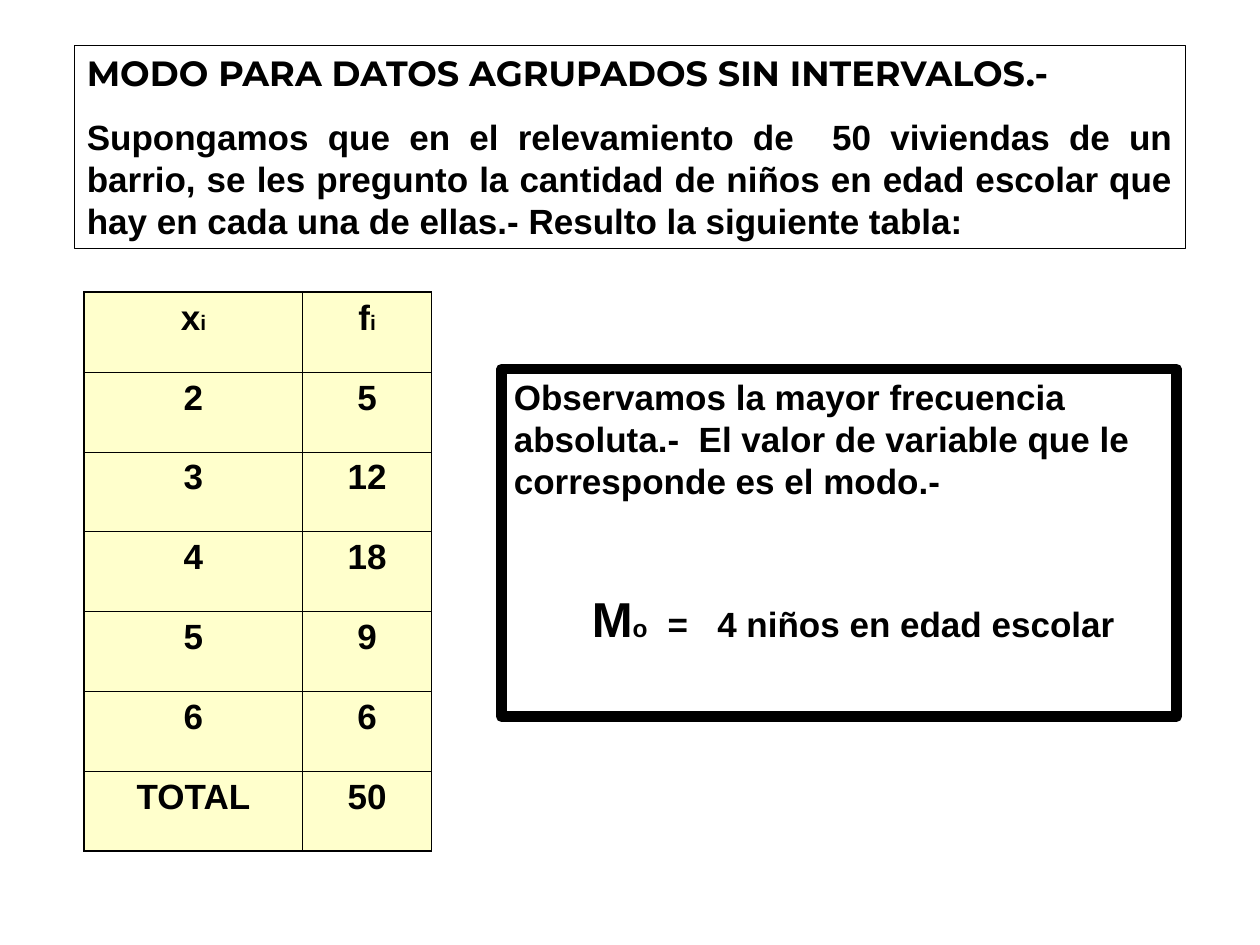
from lxml.etree import SubElement
from pptx import Presentation
from pptx.dml.color import RGBColor
from pptx.enum.shapes import MSO_SHAPE as SHAPE
from pptx.enum.text import MSO_ANCHOR as ANCHOR, PP_ALIGN as ALIGN
from pptx.oxml.ns import qn
from pptx.util import Cm, Pt

COLORS = {"ink": "000000", "cell": "FFFFCC"}
ROWS = [
    [("x", "i"), ("f", "i")],
    ["2", "5"],
    ["3", "12"],
    ["4", "18"],
    ["5", "9"],
    ["6", "6"],
    ["TOTAL", "50"],
]


def rgb(name):
    return RGBColor.from_string(COLORS[name])


def add_run(p, text, size=20, font="Arial"):
    r = p.add_run()
    r.text = text
    r.font.size, r.font.name, r.font.bold = Pt(size), font, True
    r.font.color.rgb = rgb("ink")


def add_tabs(p, stops):
    tabs = SubElement(p._p.get_or_add_pPr(), qn("a:tabLst"))
    for stop in stops:
        SubElement(tabs, qn("a:tab"), pos=str(Cm(stop)), algn="l")


def add_box(s, left, top, width, height, line):
    sp = s.shapes.add_shape(SHAPE.RECTANGLE, Cm(left), Cm(top), Cm(width), Cm(height))
    sp.shadow.inherit = False
    sp.fill.background()
    sp.line.color.rgb = rgb("ink")
    sp.line.width = Pt(line)
    tf = sp.text_frame
    tf.word_wrap = True
    tf.vertical_anchor = ANCHOR.TOP
    return tf


def add_paragraph(tf, align=ALIGN.LEFT, before=0, first=False):
    p = tf.paragraphs[0] if first else tf.add_paragraph()
    p.alignment = align
    if before:
        p.space_before = Pt(before)
    return p


def add_border(cell, side, width):
    ln = SubElement(cell._tc.get_or_add_tcPr(), qn(f"a:ln{side}"), w=str(Pt(width)))
    fill = SubElement(ln, qn("a:solidFill"))
    SubElement(fill, qn("a:srgbClr"), val=COLORS["ink"])


def fill_cell(cell, text, edges):
    for side, outer in edges.items():
        add_border(cell, side, 1.08 if outer else 0.45)
    cell.fill.solid()
    cell.fill.fore_color.rgb = rgb("cell")
    p = add_paragraph(cell.text_frame, ALIGN.CENTER, first=True)
    letter, index = text if isinstance(text, tuple) else (text, "")
    add_run(p, letter)
    if index:
        add_run(p, index, size=12)


def add_frequency_table(s, left, top, widths, row_height):
    n_rows, n_cols = len(ROWS), len(widths)
    table = s.shapes.add_table(n_rows, n_cols, Cm(left), Cm(top),
                               Cm(sum(widths)), Cm(row_height * n_rows)).table
    table.first_row = table.horz_banding = False
    for column, width in zip(table.columns, widths):
        column.width = Cm(width)
    for i, row in enumerate(ROWS):
        table.rows[i].height = Cm(row_height)
        for j, text in enumerate(row):
            edges = {"L": j == 0, "R": j == n_cols - 1,
                     "T": i == 0, "B": i == n_rows - 1}
            fill_cell(table.cell(i, j), text, edges)


def main():
    """Build the slide on the mode of grouped data and save it."""
    prs = Presentation()
    prs.slide_width, prs.slide_height = Cm(25.4), Cm(19.05)
    s = prs.slides.add_slide(prs.slide_layouts[6])

    tf = add_box(s, 1.5, 0.92, 22.4, 4.09, line=0.75)
    p = add_paragraph(tf, ALIGN.JUSTIFY, first=True)
    add_run(p, "MODO PARA DATOS AGRUPADOS SIN INTERVALOS.-", font="Montserrat")
    p = add_paragraph(tf, ALIGN.JUSTIFY, before=12.5)
    add_run(p, "Supongamos que en el relevamiento de  50 viviendas de un barrio, "
               "se les pregunto la cantidad de niños en edad escolar que hay en "
               "cada una de ellas.- Resulto la siguiente tabla:")

    add_frequency_table(s, 1.7, 5.89, widths=[4.4, 2.6], row_height=1.61)

    tf = add_box(s, 10.11, 7.44, 13.61, 7.01, line=6)
    p = add_paragraph(tf, first=True)
    add_run(p, "Observamos la mayor frecuencia absoluta.-  El valor de variable "
               "que le corresponde es el modo.-")
    p = add_paragraph(tf, before=50)
    add_tabs(p, [1.57, 3.1, 4.1])
    add_run(p, "\tM", size=28)
    add_run(p, "o", size=14)
    add_run(p, "\t=\t4 niños en edad escolar")

    prs.save("out.pptx")


if __name__ == "__main__":
    main()
